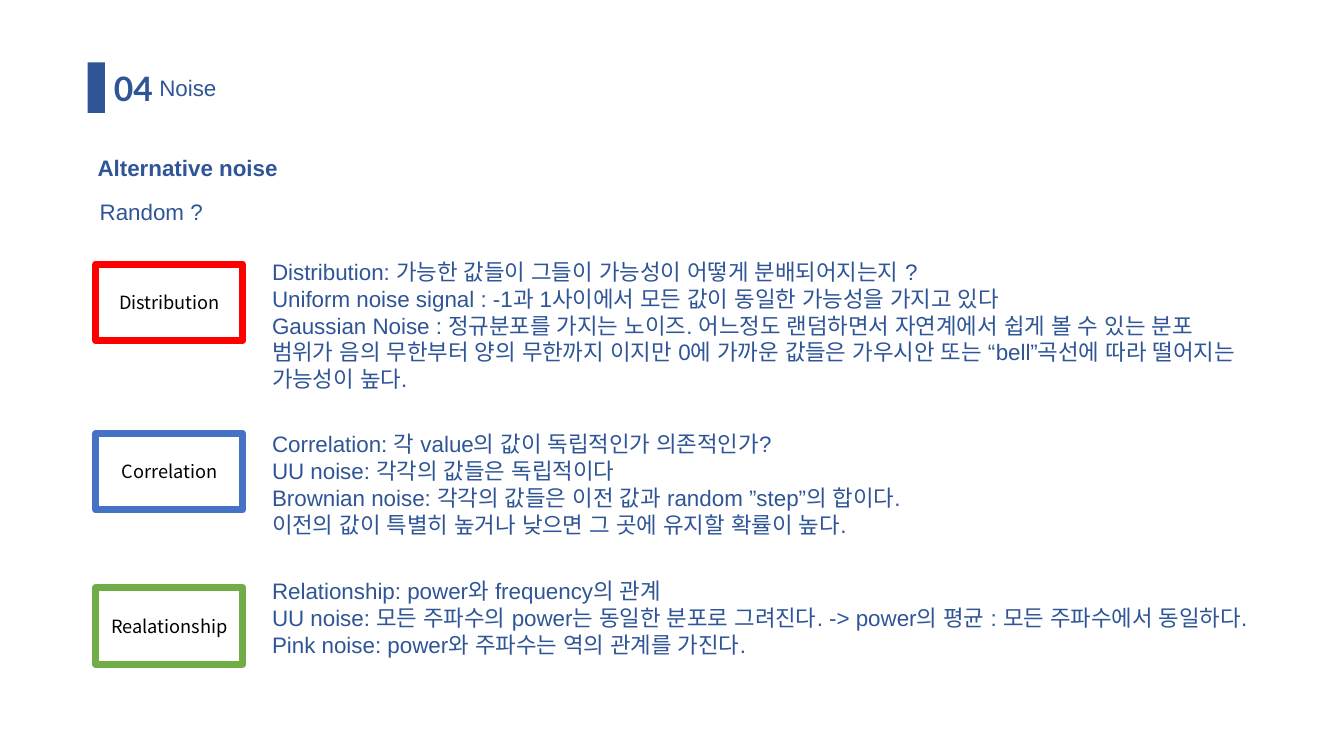
from pptx import Presentation
from pptx import util as u
from pptx.dml.color import RGBColor
from pptx.enum import shapes, text
from pptx.oxml.ns import qn
from lxml import etree

NAVY = RGBColor(0x2F, 0x55, 0x97)
BLACK = RGBColor(0x00, 0x00, 0x00)
RED = RGBColor(0xFF, 0x00, 0x00)
BLUE = RGBColor(0x44, 0x72, 0xC4)
GREEN = RGBColor(0x70, 0xAD, 0x47)

TOPICS = [
    ("Distribution", RED, 2.62, 2.51, 1.45, [
        "Distribution: 가능한 값들이 그들이 가능성이 어떻게 분배되어지는지 ?",
        "Uniform noise signal : -1과 1사이에서 모든 값이 동일한 가능성을 가지고 있다",
        "Gaussian Noise : 정규분포를 가지는 노이즈. 어느정도 랜덤하면서 자연계에서 쉽게 볼 수 있는 분포",
        "범위가 음의 무한부터 양의 무한까지 이지만 0에 가까운 값들은 가우시안 또는 “bell”곡선에 따라 떨어지는 가능성이 높다.",
    ]),
    ("Correlation", BLUE, 4.3, 4.22, 1.18, [
        "Correlation: 각 value의 값이 독립적인가 의존적인가?",
        "UU noise: 각각의 값들은 독립적이다",
        "Brownian noise: 각각의 값들은 이전 값과 random ”step”의 합이다.",
        "이전의 값이 특별히 높거나 낮으면 그 곳에 유지할 확률이 높다.",
    ]),
    ("Realationship", GREEN, 5.83, 5.68, 0.91, [
        "Relationship: power와 frequency의 관계",
        "UU noise: 모든 주파수의 power는 동일한 분포로 그려진다. -> power의 평균 : 모든 주파수에서 동일하다.",
        "Pink noise: power와 주파수는 역의 관계를 가진다.",
    ]),
]


class Deck:
    """Hold the text style and the current slide."""

    style = {"name": "Arial", "size": u.Pt(16), "bold": False}

    def __init__(self, prs):
        """Add a title-only slide."""
        self.s = prs.slides.add_slide(prs.slide_layouts[5])

    def fill_text(self, sp, lines, color=NAVY, align=text.PP_ALIGN.LEFT,
                  anchor=text.MSO_ANCHOR.TOP, **fmt):
        """Fill a shape with one formatted paragraph per line."""
        tf = sp.text_frame
        frame = {"word_wrap": True, "auto_size": text.MSO_AUTO_SIZE.NONE,
                 "vertical_anchor": anchor}
        for key, value in frame.items():
            setattr(tf, key, value)
        for i, line in enumerate(lines):
            p = tf.paragraphs[0] if i == 0 else tf.add_paragraph()
            p.alignment = align
            r = p.add_run()
            r.text = line
            for key, value in {**self.style, **fmt}.items():
                setattr(r.font, key, value)
            r.font.color.rgb = color
            ea = etree.SubElement(r.font._element, qn("a:ea"))
            ea.set("typeface", r.font.name)

    def title(self, line, *box):
        """Place and format the title placeholder."""
        sp = self.s.shapes.title
        for key, value in zip(("left", "top", "width", "height"), box):
            setattr(sp, key, u.Inches(value))
        self.fill_text(sp, [line])

    def textbox(self, lines, *box, **fmt):
        """Add a text box."""
        sp = self.s.shapes.add_textbox(*map(u.Inches, box))
        self.fill_text(sp, lines, **fmt)

    def rect(self, *box, fill=None, line=None):
        """Add a rectangle with a fill or a thick outline."""
        sp = self.s.shapes.add_shape(shapes.MSO_SHAPE.RECTANGLE, *map(u.Inches, box))
        sp.shadow.inherit = False
        if fill is None:
            sp.fill.background()
        else:
            sp.fill.solid()
            sp.fill.fore_color.rgb = fill
        if line is None:
            sp.line.fill.background()
        else:
            sp.line.color.rgb = line
            sp.line.width = u.Pt(5)
            etree.SubElement(sp._element.spPr.find(qn("a:ln")), qn("a:round"))
        return sp

    def label(self, line, color, *box):
        """Add an outlined box with a centred label."""
        self.fill_text(self.rect(*box, line=color), [line], BLACK, text.PP_ALIGN.CENTER,
                       text.MSO_ANCHOR.MIDDLE, name="Noto Sans CJK KR", size=u.Pt(13))


prs = Presentation()
prs.slide_width, prs.slide_height = u.Inches(13.33), u.Inches(7.5)
deck = Deck(prs)
deck.title("Noise", 1.48, 0.69, 0.9, 0.37)
deck.rect(0.87, 0.62, 0.17, 0.5, fill=NAVY)
deck.textbox(["04"], 1.03, 0.62, 0.65, 0.5, name="Lato", size=u.Pt(24), bold=True)
deck.textbox(["Alternative noise"], 0.87, 1.48, 2.1, 0.37, bold=True)
deck.textbox(["Random ?"], 0.89, 1.92, 11.41, 0.37)
for name, color, label_top, top, height, lines in TOPICS:
    deck.label(name, color, 0.95, label_top, 1.46, 0.76)
    deck.textbox(lines, 2.6, top, 10.34, height)
prs.save("out.pptx")
